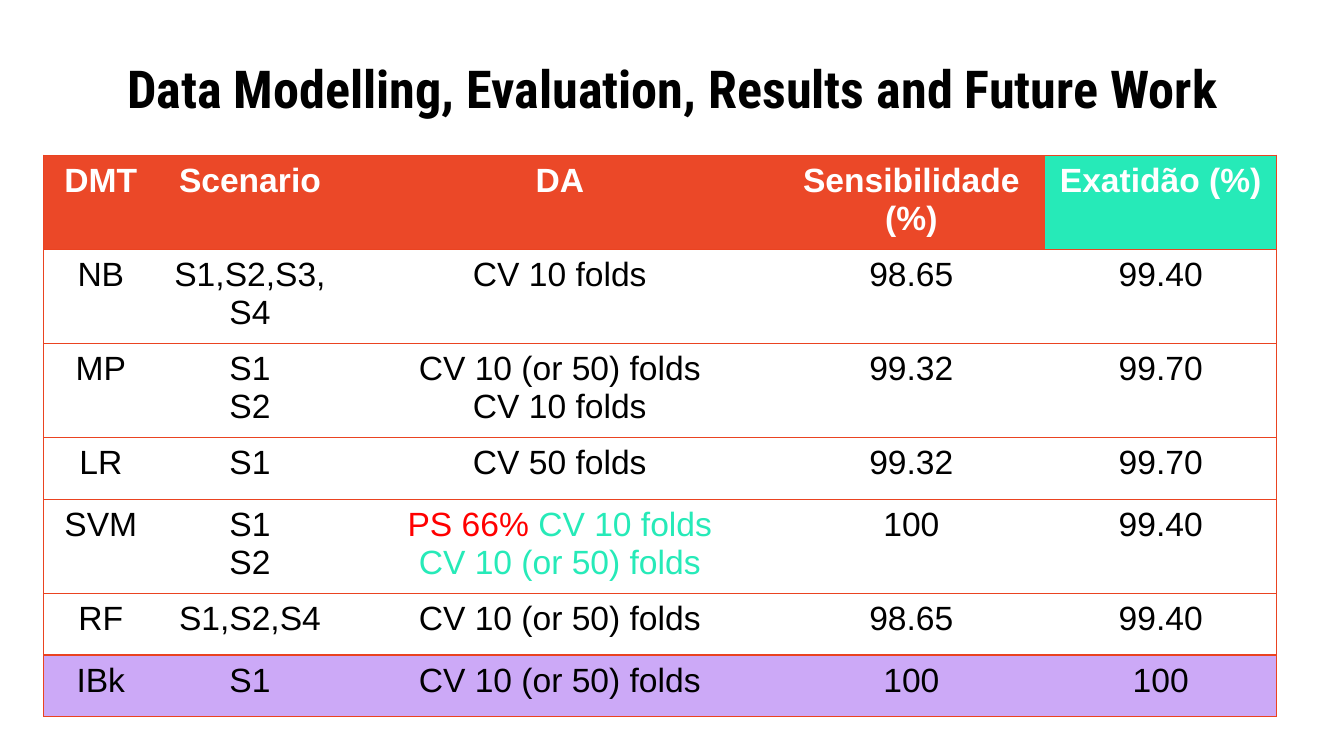
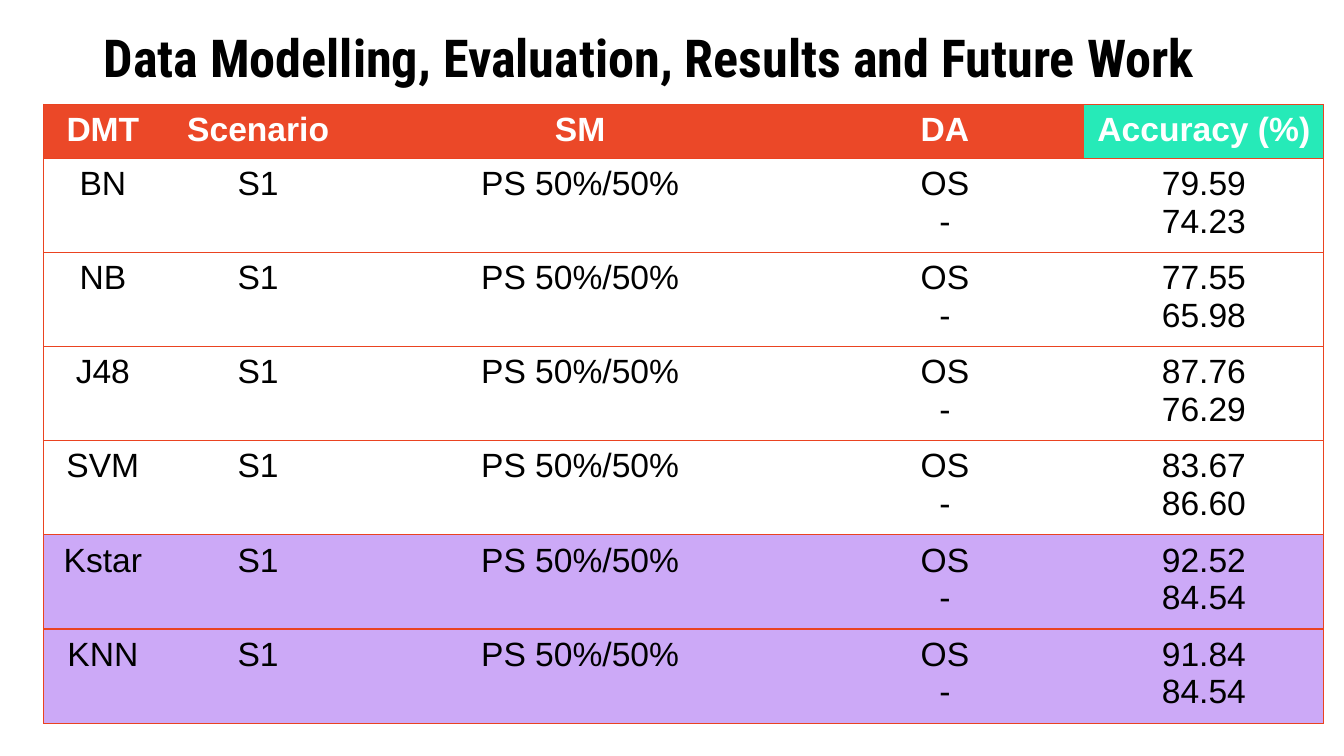
from dataclasses import dataclass
from typing import NamedTuple

from lxml import etree
from pptx import Presentation
from pptx import util as u
from pptx.dml import color
from pptx.enum import text
from pptx.oxml import ns


@dataclass(frozen=True)
class Theme:
    """Colours, fonts and sizes shared by the slides."""
    black: str = "000000"
    white: str = "FFFFFF"
    rule: str = "EA4321"
    header: str = "EB4828"
    mint: str = "26EAB8"
    lilac: str = "CCA9F7"
    red: str = "FF0000"
    title_font: str = "Roboto Condensed"
    body_font: str = "Arial"
    title_size: float = 28
    body_size: float = 18
    rule_width: float = 0.75


class Span(NamedTuple):
    """A stretch of text in one colour."""
    words: str
    colour: str


Cell = str | list[list[Span]]


@dataclass(frozen=True)
class ResultsSlide:
    """The title position and the results table of one slide."""
    title_left: float
    title_top: float
    table_top: float
    widths: list[float]
    heights: list[float]
    header: list[str]
    results: list[list[Cell]]
    best: int


THEME = Theme()
TITLE = "Data Modelling, Evaluation, Results and Future Work"
TABLE_LEFT = 23.4
ROW, TALL_ROW = 33, 46
PLAIN_STYLE = "{2D5ABB26-0587-4C30-8999-92F81FD0307C}"
FOLDS, MANY_FOLDS = "CV 10 folds", "CV 10 (or 50) folds"
SVM_FOLDS = [
    [Span("PS 66% ", THEME.red), Span(FOLDS, THEME.mint)],
    [Span(MANY_FOLDS, THEME.mint)],
]
ACCURACIES = {
    "BN": "79.59\n74.23",
    "NB": "77.55\n65.98",
    "J48": "87.76\n76.29",
    "SVM": "83.67\n86.60",
    "Kstar": "92.52\n84.54",
    "KNN": "91.84\n84.54",
}

SLIDES = [
    ResultsSlide(
        title_left=36, title_top=32.4, table_top=83.2,
        widths=[61.2, 98.6, 233.4, 143.3, 123.9],
        heights=[ROW, ROW, TALL_ROW, ROW, ROW, ROW, ROW],
        header=["DMT", "Scenario", "DA", "Sensibilidade (%)", "Exatidão (%)"],
        results=[
            ["NB", "S1,S2,S3,S4", FOLDS, "98.65", "99.40"],
            ["MP", "S1\nS2", f"{MANY_FOLDS}\n{FOLDS}", "99.32", "99.70"],
            ["LR", "S1", "CV 50 folds", "99.32", "99.70"],
            ["SVM", "S1\nS2", SVM_FOLDS, "100", "99.40"],
            ["RF", "S1,S2,S4", MANY_FOLDS, "98.65", "99.40"],
            ["IBk", "S1", MANY_FOLDS, "100", "100"],
        ],
        best=1,
    ),
    ResultsSlide(
        title_left=TABLE_LEFT, title_top=15.8, table_top=56,
        widths=[63.4, 103, 242, 148.9, 128.6],
        heights=[28, ROW, TALL_ROW, ROW, ROW, ROW, ROW],
        header=["DMT", "Scenario", "SM", "DA", "Accuracy (%)"],
        results=[[method, "S1", "PS 50%/50%", "OS\n-", accuracy]
                 for method, accuracy in ACCURACIES.items()],
        best=2,
    ),
]


def rgb(colour: str) -> color.RGBColor:
    """Turn a hex code into a colour."""
    return color.RGBColor.from_string(colour)


def write(frame, content: Cell, colour: str, font: str, size: float, bold: bool) -> None:
    """Write centred paragraphs, run by run."""
    if isinstance(content, str):
        content = [[Span(line, colour)] for line in content.split("\n")]
    for index, line in enumerate(content):
        paragraph = frame.add_paragraph() if index else frame.paragraphs[0]
        paragraph.alignment = text.PP_ALIGN.CENTER
        for span in line:
            run = paragraph.add_run()
            run.text = span.words
            run.font.name = font
            run.font.size = u.Pt(size)
            run.font.bold = bold
            run.font.color.rgb = rgb(span.colour)


def add_title(slide, left: float, top: float) -> None:
    """Add the shared title."""
    frame = slide.shapes.add_textbox(u.Pt(left), u.Pt(top), u.Pt(648), u.Pt(29.5)).text_frame
    frame.word_wrap = True
    frame.vertical_anchor = text.MSO_ANCHOR.MIDDLE
    frame.margin_left = frame.margin_right = u.Pt(7.2)
    frame.margin_top = frame.margin_bottom = u.Pt(7.2)
    write(frame, TITLE, THEME.black, THEME.title_font, THEME.title_size, True)


def rule_cell(cell, sides: str) -> None:
    """Draw rules on the given sides, in the order L, R, T, B."""
    properties = cell._tc.get_or_add_tcPr()
    for side in sides:
        line = etree.SubElement(properties, ns.qn(f"a:ln{side}"), w=str(u.Pt(THEME.rule_width)))
        fill = etree.SubElement(line, ns.qn("a:solidFill"))
        etree.SubElement(fill, ns.qn("a:srgbClr"), val=THEME.rule)


def add_results(slide, results_slide: ResultsSlide) -> None:
    """Add the results table, with its best methods highlighted."""
    rows = [results_slide.header, *results_slide.results]
    last_column = len(results_slide.header) - 1
    table = slide.shapes.add_table(
        len(rows), last_column + 1, u.Pt(TABLE_LEFT), u.Pt(results_slide.table_top),
        u.Pt(sum(results_slide.widths)), u.Pt(sum(results_slide.heights))).table
    table.horz_banding = False
    table._tbl.tblPr.find(ns.qn("a:tableStyleId")).text = PLAIN_STYLE
    for column, width in zip(table.columns, results_slide.widths):
        column.width = u.Pt(width)
    for row, height in zip(table.rows, results_slide.heights):
        row.height = u.Pt(height)

    for r, contents in enumerate(rows):
        is_header = r == 0
        is_best = r >= len(rows) - results_slide.best
        for c, content in enumerate(contents):
            cell = table.cell(r, c)
            rule_cell(cell, ("L" if c == 0 else "") + ("R" if c == last_column else "") + "TB")
            if is_header or is_best:
                header_fill = THEME.mint if c == last_column else THEME.header
                cell.fill.solid()
                cell.fill.fore_color.rgb = rgb(header_fill if is_header else THEME.lilac)
            else:
                cell.fill.background()
            write(cell.text_frame, content, THEME.white if is_header else THEME.black,
                  THEME.body_font, THEME.body_size, is_header)


def main() -> None:
    """Build and save the presentation."""
    deck = Presentation()
    deck.slide_width, deck.slide_height = u.Pt(720), u.Pt(405)
    for results_slide in SLIDES:
        slide = deck.slides.add_slide(deck.slide_layouts[6])
        add_title(slide, results_slide.title_left, results_slide.title_top)
        add_results(slide, results_slide)
    deck.save("out.pptx")


if __name__ == "__main__":
    main()
